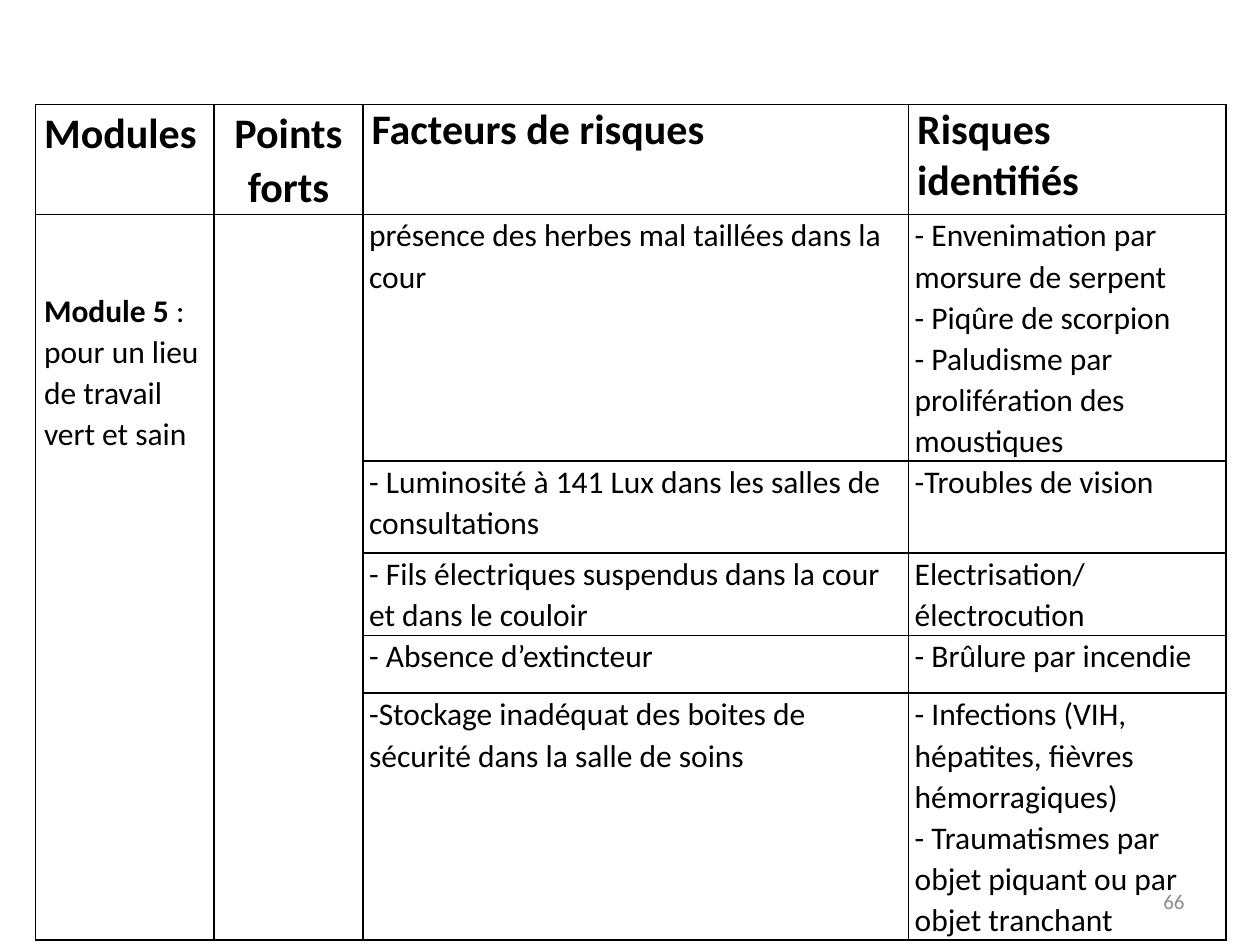
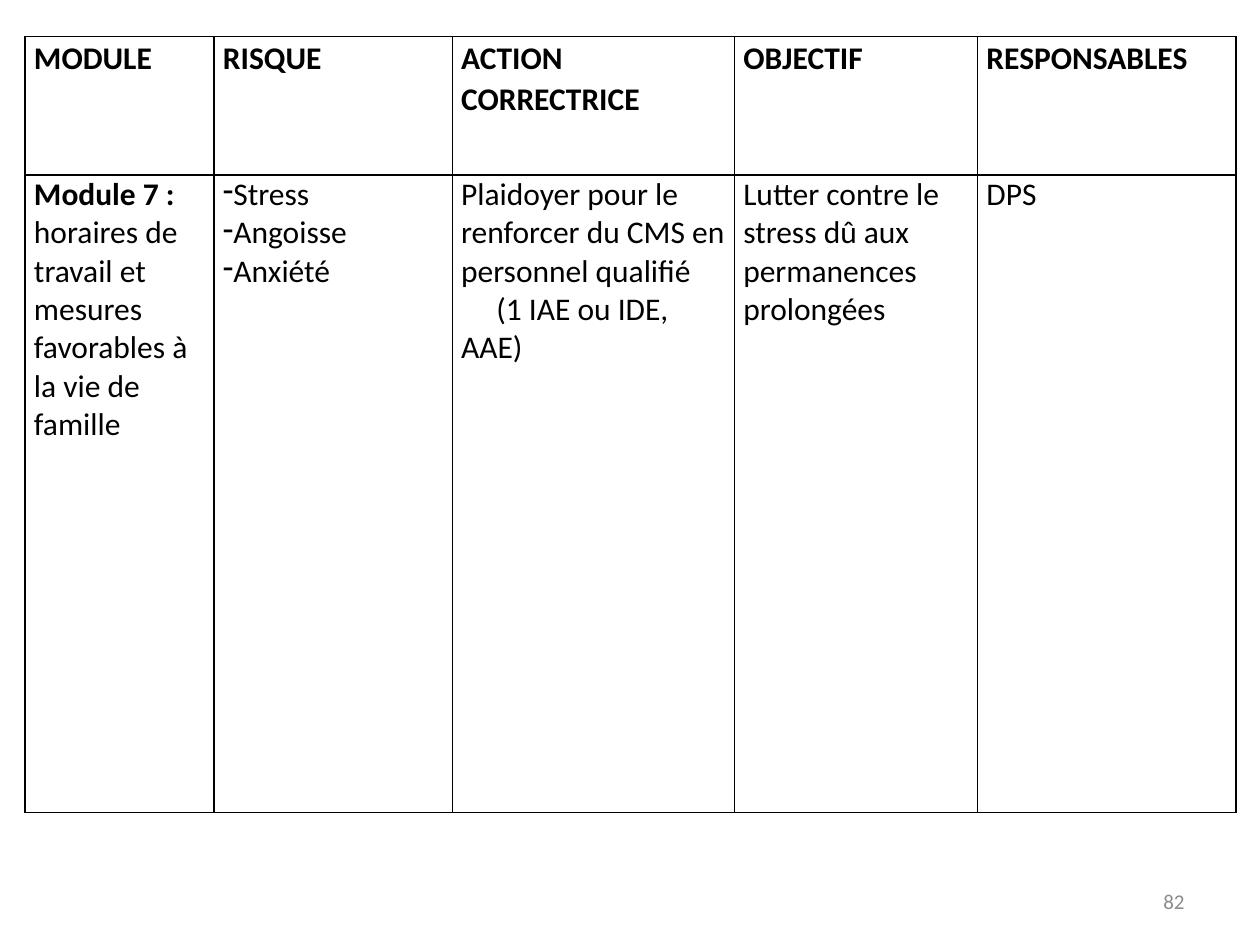
import pptx
import pptx.util
import pptx.dml.color
import pptx.enum.text
import pptx.oxml.ns
import lxml.etree
from dataclasses import dataclass

Align = pptx.enum.text.PP_ALIGN
Anchor = pptx.enum.text.MSO_ANCHOR
Inches = pptx.util.Inches
Pt = pptx.util.Pt
qn = pptx.oxml.ns.qn


@dataclass(frozen=True)
class Theme:
    font: str = "Calibri"
    ink: str = "000000"
    muted: str = "8C8C8C"
    heading: int = 24
    body: int = 18
    page_number: int = 12
    loose: float = 1.07
    inset: float = 0.07
    tight_inset: float = 0.05
    border: int = 1


theme = Theme()

deck = pptx.Presentation()
deck.slide_width, deck.slide_height = Inches(10), Inches(7.5)


def add_grid(slide, left, top, columns, rows):
    """Add a plain ruled table; all lengths are percentages of the slide."""
    across, down = deck.slide_width / 100, deck.slide_height / 100
    grid = slide.shapes.add_table(
        len(rows), len(columns), int(left * across), int(top * down),
        int(sum(columns) * across), int(sum(rows) * down)).table
    grid.first_row = grid.horz_banding = False
    for column, share in zip(grid.columns, columns):
        column.width = int(share * across)
    for row, share in zip(grid.rows, rows):
        row.height = int(share * down)
    for cell in grid.iter_cells():
        properties = cell._tc.get_or_add_tcPr()
        for side in ("a:lnL", "a:lnR", "a:lnT", "a:lnB"):
            line = lxml.etree.SubElement(properties, qn(side), w=str(Pt(theme.border)))
            fill = lxml.etree.SubElement(line, qn("a:solidFill"))
            lxml.etree.SubElement(fill, qn("a:srgbClr"), val=theme.ink)
        cell.fill.background()
    return grid


def write(cell, paragraphs, size=theme.body, bold=False, spacing=theme.loose,
          inset=theme.inset, align=Align.LEFT):
    """Fill a cell; a (lead, rest) pair sets its lead in bold."""
    cell.margin_left = cell.margin_right = Inches(inset)
    cell.margin_top = cell.margin_bottom = 0
    frame = cell.text_frame
    for index, words in enumerate(paragraphs):
        paragraph = frame.add_paragraph() if index else frame.paragraphs[0]
        paragraph.alignment, paragraph.line_spacing = align, spacing
        paragraph.font.name, paragraph.font.size = theme.font, Pt(size)
        paragraph.font.color.rgb = pptx.dml.color.RGBColor.from_string(theme.ink)
        if isinstance(words, tuple):
            for part, strong in zip(words, (True, False)):
                run = paragraph.add_run()
                run.text, run.font.bold = part, strong
        else:
            paragraph.font.bold = bold
            paragraph.add_run().text = words


blank = deck.slide_layouts[6]

# Slide 1: risk factors and identified risks of module 5
risk_slide = deck.slides.add_slide(blank)
risks = add_grid(risk_slide, 2.8, 11.07, [14.2, 11.8, 43.3, 25.2],
                 [10.93, 24.53, 9.73, 8.13, 6.13, 24.53])
for column in (0, 1):
    risks.cell(1, column).merge(risks.cell(5, column))

risk_headings = [
    ("Modules", theme.loose, Align.LEFT),
    ("Points forts", theme.loose, Align.CENTER),
    ("Facteurs de risques", 1.0, Align.LEFT),
    ("Risques identifiés", 1.0, Align.LEFT),
]
for column, (heading, spacing, align) in enumerate(risk_headings):
    write(risks.cell(0, column), [heading], theme.heading, True, spacing, align=align)

module_5 = risks.cell(1, 0)
write(module_5, [("Module 5 ", ":"), "pour un lieu de travail vert et sain"])
module_5.margin_top = Inches(0.6)

factors = [
    ("présence des herbes mal taillées dans la cour",
     ["- Envenimation par morsure de serpent", "- Piqûre de scorpion",
      "- Paludisme par prolifération des moustiques"]),
    ("- Luminosité à 141 Lux dans les salles de consultations",
     ["-Troubles de vision"]),
    ("- Fils électriques suspendus dans la cour et dans le couloir",
     ["Electrisation/électrocution"]),
    ("- Absence d’extincteur", ["- Brûlure par incendie"]),
    ("-Stockage inadéquat des boites de sécurité dans la salle de soins",
     ["- Infections (VIH, hépatites, fièvres hémorragiques)",
      "- Traumatismes par objet piquant ou par objet tranchant"]),
]
for row, (factor, consequences) in enumerate(factors, start=1):
    write(risks.cell(row, 2), [factor], inset=theme.tight_inset)
    write(risks.cell(row, 3), consequences, inset=theme.tight_inset)

# Slide 2: action plan of module 7
plan_slide = deck.slides.add_slide(blank)
plan = add_grid(plan_slide, 2, 3.87, [15, 18.9, 22.4, 19.3, 20.5], [14.67, 67.47])
plan_columns = [
    ("MODULE", [("Module 7 : ",
                 "horaires de travail et mesures favorables à la vie de famille")]),
    ("RISQUE", ["Stress", "Angoisse", "Anxiété"]),
    ("ACTION CORRECTRICE",
     ["Plaidoyer pour le renforcer du CMS en personnel qualifié",
      "(1 IAE ou IDE, AAE)"]),
    ("OBJECTIF", ["Lutter contre le stress dû aux permanences prolongées"]),
    ("RESPONSABLES", ["DPS"]),
]
for column, (heading, content) in enumerate(plan_columns):
    write(plan.cell(0, column), [heading], bold=True)
    write(plan.cell(1, column), content, spacing=1.0)

# Dashes before the risks, first-line indent before the staff needed
for risk in plan.cell(1, 1).text_frame.paragraphs:
    properties = risk._p.get_or_add_pPr()
    properties.set("marL", str(Inches(0.08)))
    properties.set("indent", str(-Inches(0.08)))
    dash = lxml.etree.Element(qn("a:buChar"), char="-")
    properties.find(qn("a:defRPr")).addprevious(dash)
staff = plan.cell(1, 2).text_frame.paragraphs[1]
staff._p.get_or_add_pPr().set("indent", str(Inches(0.28)))

# Page numbers
for slide, number in ((risk_slide, "66"), (plan_slide, "82")):
    footer = slide.shapes.add_textbox(
        int(deck.slide_width * 0.717), int(deck.slide_height * 0.927),
        int(deck.slide_width * 0.233), int(deck.slide_height * 0.053)).text_frame
    footer.word_wrap = True
    footer.vertical_anchor = Anchor.MIDDLE
    page = footer.paragraphs[0]
    page.text, page.alignment = number, Align.RIGHT
    page.font.name, page.font.size = theme.font, Pt(theme.page_number)
    page.font.color.rgb = pptx.dml.color.RGBColor.from_string(theme.muted)

deck.save("out.pptx")
